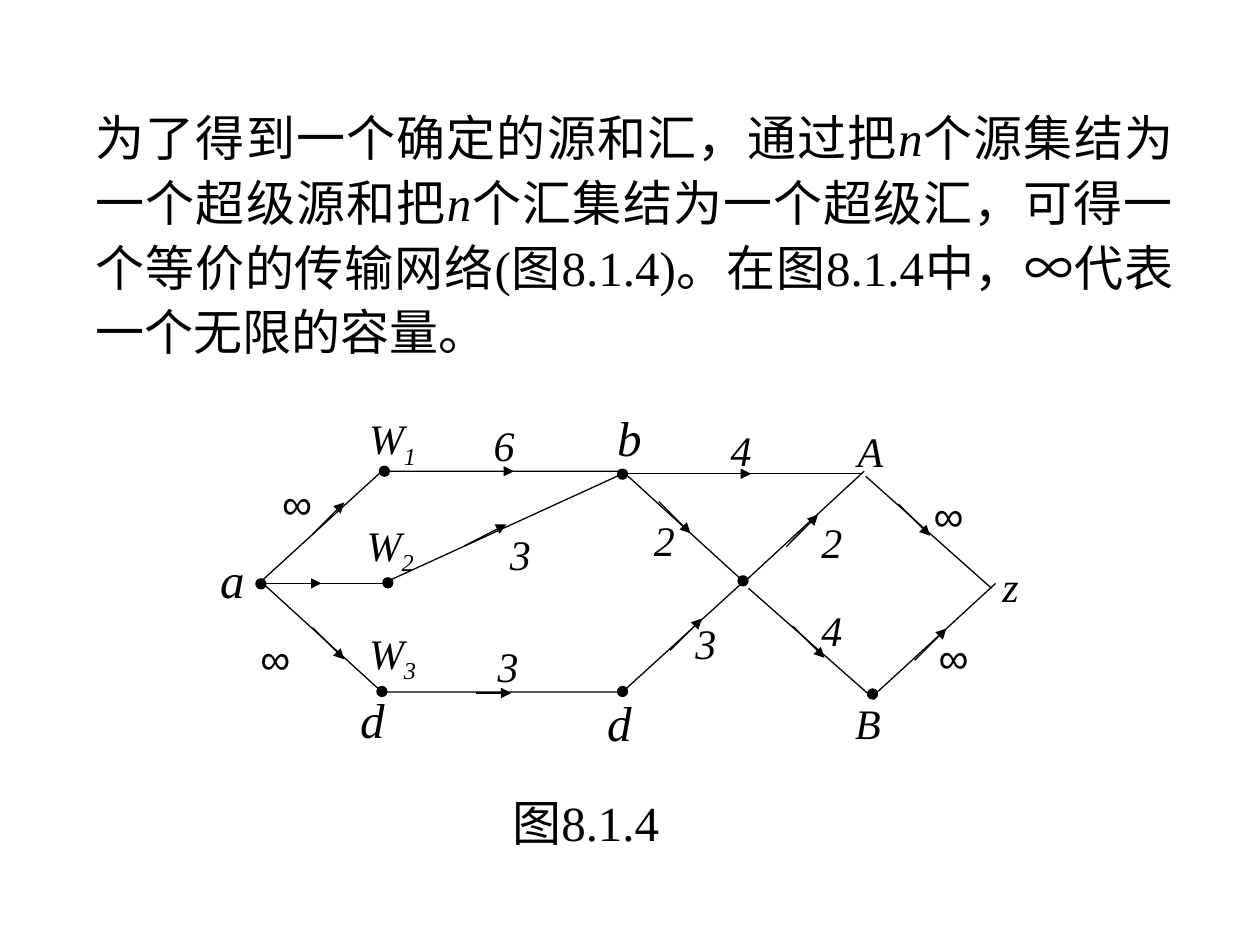
from pptx import Presentation
from pptx.dml.color import RGBColor as RGB
from pptx.enum.shapes import MSO_CONNECTOR as CONN, MSO_SHAPE as SHAPE
from pptx.enum.text import PP_ALIGN as ALIGN
from pptx.oxml.ns import qn
from pptx.util import Cm, Pt
from lxml.etree import SubElement

COLORS = {"ink": "000000", "paper": "FFFFFF"}
SERIF, SANS = "Times New Roman", "Arial"


class NetworkSlide:
    """Holds the style and the slide being drawn."""

    def __init__(self, slide):
        self.s = slide
        self.ink = RGB.from_string(COLORS["ink"])
        self.line_width = Pt(0.75)
        fill = slide.background.fill
        fill.solid()
        fill.fore_color.rgb = RGB.from_string(COLORS["paper"])

    def outline(self, line):
        line.color.rgb = self.ink
        line.width = self.line_width

    def shape(self, kind, x, y, w, h, filled=False):
        sp = self.s.shapes.add_shape(kind, Cm(x), Cm(y), Cm(w), Cm(h))
        sp.shadow.inherit = False
        if filled:
            sp.fill.solid()
            sp.fill.fore_color.rgb = self.ink
        else:
            sp.fill.background()
        self.outline(sp.line)
        return sp

    def node(self, x, y, d=0.2):
        self.shape(SHAPE.OVAL, x - d / 2, y - d / 2, d, d, filled=True)

    def line(self, x1, y1, x2, y2, arrow=False):
        c = self.s.shapes.add_connector(CONN.STRAIGHT, Cm(x1), Cm(y1), Cm(x2), Cm(y2))
        self.outline(c.line)
        pr = c._element.spPr
        if arrow:
            SubElement(pr.find(qn("a:ln")), qn("a:tailEnd"), type="triangle")
        SubElement(pr, qn("a:effectLst"))

    def text(self, x, y, w, h, runs, size, wrap=False):
        """Each run is (text, font, italic, subscript)."""
        tf = self.s.shapes.add_textbox(Cm(x), Cm(y), Cm(w), Cm(h)).text_frame
        tf.word_wrap = wrap
        p = tf.paragraphs[0]
        for text, font, italic, sub in runs:
            r = p.add_run()
            r.text = text
            r.font.name = font
            r.font.size = Pt(size)
            r.font.italic = italic
            r.font.color.rgb = self.ink
            if sub:
                r._r.get_or_add_rPr().set("baseline", "-25000")
        return p

    def label(self, text, x, y, w, size=24, sub=""):
        infinite = text == "∞"
        runs = [(text, SANS if infinite else SERIF, not infinite, False)]
        if sub:
            runs.append((sub, SERIF, True, True))
        self.text(x, y, w, 1.45 if size == 28 else 1.27, runs, size)


def main():
    prs = Presentation()
    prs.slide_width, prs.slide_height = Cm(25.4), Cm(19.05)
    net = NetworkSlide(prs.slides.add_slide(prs.slide_layouts[6]))

    # Paragraph
    body = [
        ("为了得到一个确定的源和汇，通过把", SERIF, False),
        ("n", SERIF, True),
        ("个源集结为一个超级源和把", SERIF, False),
        ("n", SERIF, True),
        ("个汇集结为一个超级汇，可得一个等价的传输网络(图8.1.4)。在图8.1.4中，", SERIF, False),
        ("∞", SANS, False),
        ("代表一个无限的容量。", SERIF, False),
    ]
    p = net.text(1.68, 1.93, 22.22, 5.49, [(*run, False) for run in body], 28, wrap=True)
    p.alignment = ALIGN.JUSTIFY
    p.line_spacing = 1.1

    # Left half of the network, then the remaining edges
    hexagon = net.shape(SHAPE.HEXAGON, 5.26, 9.5, 9.73, 4.45)
    hexagon.adjustments[0] = 0.548
    for edge in [
        (12.55, 9.55, 7.72, 11.76),
        (5.23, 11.76, 7.72, 11.76),
        (15.09, 11.86, 17.63, 14.1),
        (14.94, 11.79, 17.42, 9.5),
        (12.6, 9.55, 17.37, 9.55),
        (17.45, 9.6, 19.99, 11.86),
        (17.58, 14.05, 20.07, 11.76),
    ]:
        net.line(*edge)

    # Flow arrows: one step per direction, with the starting points
    arrows = {
        (0.64, -0.64): [(6.3, 10.77), (13.51, 13.11), (18.44, 13.31), (15.85, 11.02)],
        (0.64, 0.64): [(6.3, 12.65), (13.28, 10.11), (15.98, 12.62), (18.11, 10.16)],
        (0.71, 0): [(9.6, 13.97), (9.65, 9.5), (5.77, 11.76), (14.43, 9.55)],
        (0.84, -0.43): [(9.37, 11)],
    }
    for (dx, dy), starts in arrows.items():
        for x, y in starts:
            net.line(x, y, x + dx, y + dy, arrow=True)

    # Nodes, by centre
    for centre in [
        (5.26, 11.77), (7.75, 9.5), (7.82, 11.75), (7.7, 13.94),
        (12.55, 9.56), (12.55, 13.94), (14.98, 11.71), (17.59, 13.99),
    ]:
        net.node(*centre)

    # Node names
    for name, x, y in [("a", 4.19, 10.95), ("b", 12.19, 8.1),
                       ("d", 7.01, 13.77), ("d", 11.99, 13.84)]:
        net.label(name, x, y, 0.99, size=28)
    for name, x, y in [("A", 17.04, 8.46), ("B", 16.99, 13.94), ("z", 19.96, 11.18)]:
        net.label(name, x, y, 1.02)
    for sub, x, y in [("1", 7.19, 8.2), ("2", 7.14, 10.34), ("3", 7.19, 12.52)]:
        net.label("W", x, y, 1.45, sub=sub)

    # Edge capacities
    for value, x, y in [
        ("6", 9.7, 8.33), ("3", 10.03, 10.52), ("3", 9.78, 12.78), ("3", 13.77, 12.32),
        ("2", 12.93, 10.24), ("2", 16.31, 10.29), ("4", 14.48, 8.43), ("4", 16.31, 12.07),
    ]:
        net.label(value, x, y, 0.91)
    for x, y in [(5.44, 9.5), (5, 12.62), (18.57, 9.75), (18.67, 12.6)]:
        net.label("∞", x, y, 1.14)

    # Caption
    net.text(10.08, 15.85, 3.71, 1.45, [("图8.1.4", SERIF, False, False)], 28)

    prs.save("out.pptx")


if __name__ == "__main__":
    main()
